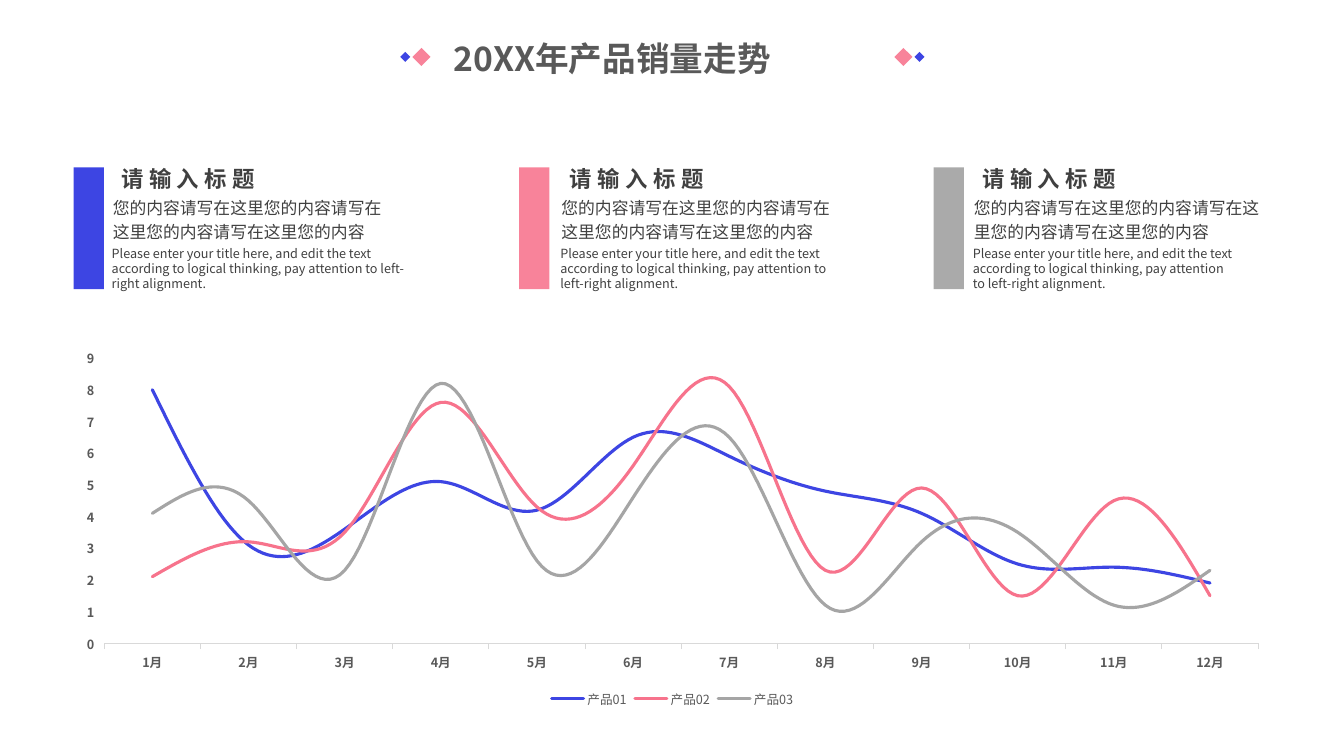
"""Build the monthly product sales trend slide."""
from lxml import etree
from pptx import Presentation
from pptx import util as u
from pptx.chart import data as cd
from pptx.dml.color import RGBColor
from pptx.enum import chart as ce, shapes, text
from pptx.oxml.ns import qn

FONT = "Noto Sans CJK SC"
HUES = {"blue": "3D45E3", "pink": "F8839A", "rose": "F7738C", "gray": "AAAAAA",
        "ash": "A5A5A5", "dark": "404040", "mid": "595959", "rule": "D9D9D9"}
TITLE = "20XX年产品销量走势"
HEAD = "请输入标题"
BODY = "您的内容请写在这里您的内容请写在这里您的内容请写在这里您的内容"
NOTE = ("Please enter your title here, and edit the text according to logical "
        "thinking, pay attention to left-right alignment.")
CARDS = [("blue", 0.73, 1.01, 3.01, 3.34),
         ("pink", 5.15, 5.46, 3.0, 2.93),
         ("gray", 9.26, 9.55, 3.08, 2.81)]
GEMS = [("pink", 2.39, 0.18), ("blue", 2.55, 0.1)]
MONTHS = [f"{n}月" for n in range(1, 13)]
SALES = [("产品01", "blue", [8, 3.1, 3.6, 5.1, 4.2, 6.5, 5.9, 4.8, 4.1, 2.5, 2.4, 1.9]),
         ("产品02", "rose", [2.1, 3.2, 3.5, 7.6, 4.3, 5.6, 8.1, 2.3, 4.9, 1.5, 4.5, 1.5]),
         ("产品03", "ash", [4.1, 4.5, 2.3, 8.2, 2.6, 4.6, 6.5, 1.2, 3.2, 3.5, 1.2, 2.3])]


def hue(name):
    return RGBColor.from_string(HUES[name])


def style(font, size, color, bold=False):
    font.size, font.bold, font.name = u.Pt(size), bold, FONT
    font.color.rgb = hue(color)
    props = font._element
    east = etree.Element(qn("a:ea"), typeface=FONT)
    props.find(qn("a:latin")).addnext(east)
    return props


def write(slide, words, box, size, color="dark", bold=False, align=None,
          wrap=True, lead=None, track=None):
    frame = slide.shapes.add_textbox(*map(u.Inches, box)).text_frame
    frame.word_wrap = wrap
    para = frame.paragraphs[0]
    para.alignment, para.line_spacing = align, lead
    run = para.add_run()
    run.text = words
    props = style(run.font, size, color, bold)
    if track:
        props.set("spc", str(track * 100))


def block(slide, kind, box, color):
    form = slide.shapes.add_shape(kind, *map(u.Inches, box))
    form.shadow.inherit = False
    form.fill.solid()
    form.fill.fore_color.rgb = hue(color)
    form.line.fill.background()


def plot(slide):
    data = cd.CategoryChartData()
    data.categories = MONTHS
    for name, _, vals in SALES:
        data.add_series(name, vals)
    box = map(u.Inches, (0.62, 3.39, 12.1, 3.67))
    chart = slide.shapes.add_chart(ce.XL_CHART_TYPE.LINE, *box, data).chart
    style(chart.font, 10, "mid")
    chart.has_title = False
    chart.plots[0].vary_by_categories = False
    chart.has_legend = True
    chart.legend.position = ce.XL_LEGEND_POSITION.BOTTOM
    chart.legend.include_in_layout = False
    style(chart.legend.font, 9, "mid")
    for axis in (chart.category_axis, chart.value_axis):
        axis.has_major_gridlines = False
        axis.major_tick_mark = ce.XL_TICK_MARK.OUTSIDE
        style(axis.tick_labels.font, 9, "mid", True)
    line = chart.category_axis.format.line
    line.color.rgb, line.width = hue("rule"), u.Pt(0.75)
    values = chart.value_axis
    values.format.line.fill.background()
    values.minimum_scale, values.maximum_scale, values.major_unit = 0, 9, 1
    for series, (_, color, _) in zip(chart.plots[0].series, SALES):
        series.smooth = True
        series.marker.style = ce.XL_MARKER_STYLE.NONE
        line = series.format.line
        line.color.rgb, line.width = hue(color), u.Pt(2.25)
        series._element.find(".//" + qn("a:ln")).set("cap", "rnd")


def main():
    deck = Presentation()
    deck.slide_width, deck.slide_height = u.Inches(13.33), u.Inches(7.5)
    slide = deck.slides.add_slide(deck.slide_layouts[6])
    plot(slide)
    for color, bar, left, wide, span in CARDS:
        write(slide, HEAD, (left + 0.08, 1.59, 1.54, 0.33), 16, bold=True,
              align=text.PP_ALIGN.RIGHT, wrap=False, track=4)
        write(slide, BODY, (left + 0.01, 1.87, wide, 0.57), 12, lead=1.2)
        write(slide, NOTE, (left, 2.39, span, 0.55), 9)
        block(slide, shapes.MSO_SHAPE.RECTANGLE, (bar, 1.66, 0.3, 1.21), color)
    write(slide, TITLE, (4.4, 0.33, 4.32, 0.5), 24, "mid", True,
          text.PP_ALIGN.JUSTIFY)
    for side in (-1, 1):
        for color, gap, size in GEMS:
            box = (6.57 + side * gap - size / 2, 0.565 - size / 2, size, size)
            block(slide, shapes.MSO_SHAPE.DIAMOND, box, color)
    deck.save("out.pptx")


if __name__ == "__main__":
    main()
